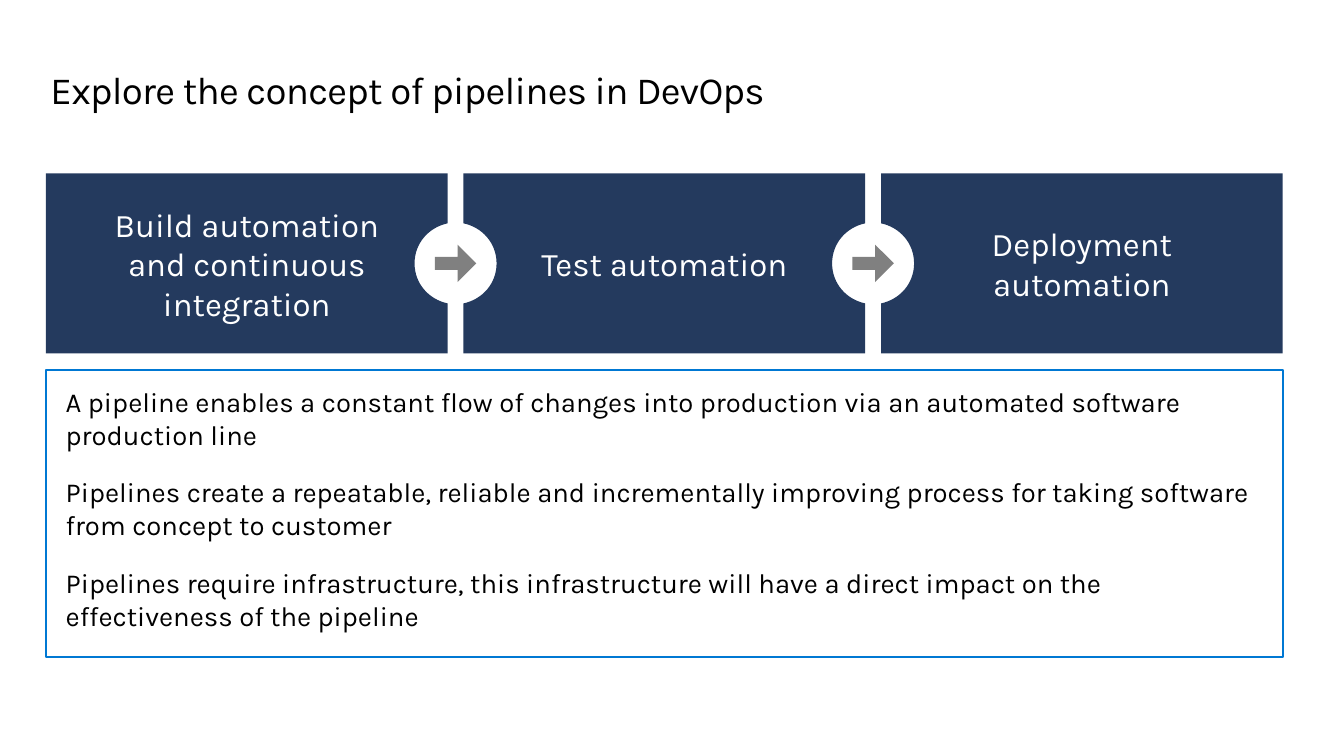
from pptx import Presentation
from pptx.dml.color import RGBColor
from pptx.enum.shapes import MSO_SHAPE
from pptx.enum.text import MSO_ANCHOR, PP_ALIGN
from pptx.oxml.ns import qn
from pptx.util import Pt

PX = 4572  # 200 px to the inch
RECT, ARROW = MSO_SHAPE.RECTANGLE, MSO_SHAPE.RIGHT_ARROW
TOP, MIDDLE = MSO_ANCHOR.TOP, MSO_ANCHOR.MIDDLE
LEFT, CENTER = PP_ALIGN.LEFT, PP_ALIGN.CENTER
NAVY = RGBColor(0x24, 0x3A, 0x5E)
BLUE = RGBColor(0x00, 0x78, 0xD3)
GRAY = RGBColor(0x80, 0x80, 0x80)
BLACK = RGBColor(0, 0, 0)
WHITE = RGBColor(255, 255, 255)


def px(*values):
    return [v * PX for v in values]


def write(sp, paragraphs, size, color=BLACK, align=LEFT, anchor=TOP,
          inset=(0, 0), before=0, line=None, spacing=None):
    tf = sp.text_frame
    tf.word_wrap = True
    tf.vertical_anchor = anchor
    tf.margin_left = tf.margin_right = inset[0] * PX
    tf.margin_top = tf.margin_bottom = inset[1] * PX
    for i, text in enumerate(paragraphs):
        p = tf.add_paragraph() if i else tf.paragraphs[0]
        p.text = text
        p.alignment = align
        p.space_before = Pt(before)
        if line:
            p.line_spacing = Pt(line)
        for r in p.runs:
            r.font.name = "Karla"
            r.font.size = Pt(size)
            r.font.color.rgb = color
            if spacing:
                r.font._element.set("spc", str(spacing))


prs = Presentation()
prs.slide_width, prs.slide_height = px(2720, 1530)
s = prs.slides.add_slide(prs.slide_layouts[6])

# Title
title = s.shapes.add_textbox(*px(102, 138, 2522, 90))
write(title, ["Explore the concept of pipelines in DevOps"], 28, line=32, spacing=-50)

# Stage panels, with a round notch around each arrow
STAGES = ["Build automation\nand continuous integration", "Test automation",
          "Deployment\nautomation"]
X, Y, W, H, GAP = 93, 351, 813, 364, 32
PITCH = W + GAP
LAST = len(STAGES) - 1
MID = Y + H // 2
# Depth and height of the notch: its start, then two curves of three points
NOTCH = [(0, -81), (38, -73), (67, -41), (67, 0), (67, 41), (38, 73), (0, 81)]

for i, stage in enumerate(STAGES):
    left = X + i * PITCH
    right = left + W
    points = [(left, Y), (right, Y)]
    curves = []  # where each curve begins among the points
    if i < LAST:
        curves += [len(points) + 1, len(points) + 4]
        points += [(right - dx, MID + dy) for dx, dy in NOTCH]
    points += [(right, Y + H), (left, Y + H)]
    if i > 0:
        curves += [len(points) + 1, len(points) + 4]
        points += [(left + dx, MID - dy) for dx, dy in NOTCH]
    fb = s.shapes.build_freeform(*px(*points[0]))
    fb.add_line_segments([px(*point) for point in points[1:]])
    panel = fb.convert_to_shape()

    # Join three line ends into one curve, last curve first
    outline = next(panel._element.iter(qn("a:path")))
    for n in reversed(curves):
        curve = outline.makeelement(qn("a:cubicBezTo"))
        ends = list(outline[n:n + 3])
        outline.insert(n, curve)
        for end in ends:
            curve.append(end[0])
            outline.remove(end)

    panel.shadow.inherit = False
    panel.fill.solid()
    panel.fill.fore_color.rgb = NAVY
    panel.line.fill.background()
    write(panel, [stage], 24, WHITE, CENTER, MIDDLE, inset=(24, 24))

    if i < LAST:
        arrow = s.shapes.add_shape(ARROW, *px(right + GAP // 2 - 42, 495, 84, 76))
        arrow.adjustments[0] = 0.35
        arrow.adjustments[1] = 0.5
        arrow.shadow.inherit = False
        arrow.fill.solid()
        arrow.fill.fore_color.rgb = GRAY
        arrow.line.fill.background()

# Framed statements
box = s.shapes.add_shape(RECT, *px(X, 749, LAST * PITCH + W, 581))
box.shadow.inherit = False
box.fill.background()
box.line.color.rgb = BLUE
box.line.width = Pt(1.5)
write(box, [
    "A pipeline enables a constant flow of changes into production via an "
    "automated software production line",
    "Pipelines create a repeatable, reliable and incrementally improving "
    "process for taking software from concept to customer",
    "Pipelines require infrastructure, this infrastructure will have a direct "
    "impact on the effectiveness of the pipeline",
], 20, inset=(40, 30), before=18)

prs.save("out.pptx")
